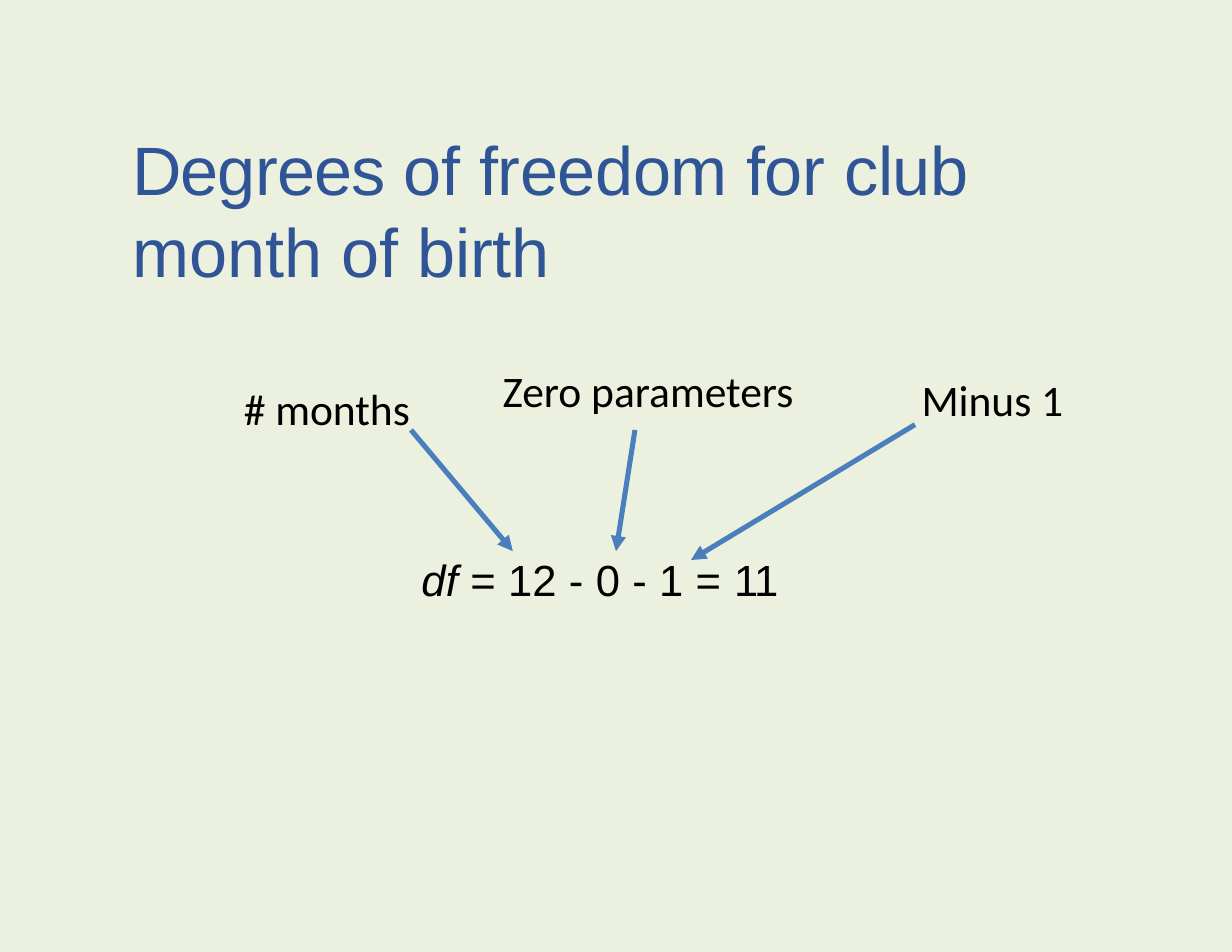
from pptx import Presentation
from pptx.dml.color import RGBColor
from pptx.enum.shapes import MSO_CONNECTOR as CONN
from pptx.enum.text import MSO_AUTO_SIZE as FIT
from pptx.oxml.ns import qn
from pptx.util import Cm, Pt
from lxml import etree


def rgb(value):
    return RGBColor.from_string(value)


class Deck:
    ink, blue, arrow_color, back = "000000", "2F5597", "4B7EBC", "EBF1DE"
    heading, body = "Arial", "Calibri"
    line_width = Pt(3.25)

    def __init__(self, prs):
        self.s = prs.slides.add_slide(prs.slide_layouts[6])
        fill = self.s.background.fill
        fill.solid()
        fill.fore_color.rgb = rgb(self.back)

    def text(self, box, runs, font, size, color, before=0, wrap=True, **insets):
        sp = self.s.shapes.add_textbox(*map(Cm, box))
        tf = sp.text_frame
        frame = dict(word_wrap=wrap, auto_size=FIT.SHAPE_TO_FIT_TEXT, **insets)
        for name, value in frame.items():
            setattr(tf, name, value)
        p = tf.paragraphs[0]
        p.space_before = Pt(before)
        for words, spacing, italic in runs:
            r = p.add_run()
            r.text = words
            style = {"name": font, "size": Pt(size), "italic": italic}
            for name, value in style.items():
                setattr(r.font, name, value)
            r.font.color.rgb = rgb(color)
            if spacing:
                r._r.get_or_add_rPr().set("spc", str(spacing))

    def block(self, box, runs, size, color, before, top):
        self.text(box, runs, self.heading, size, color, before,
                  margin_left=Cm(0.03), margin_right=0, margin_bottom=0,
                  margin_top=Cm(top))

    def label(self, box, words):
        self.text(box, [(words, 0, False)], self.body, 28, self.ink, wrap=False)

    def arrow(self, start, end):
        sp = self.s.shapes.add_connector(CONN.STRAIGHT, *map(Cm, start + end))
        sp.line.color.rgb = rgb(self.arrow_color)
        sp.line.width = self.line_width
        ln = sp.line._get_or_add_ln()
        etree.SubElement(ln, qn("a:tailEnd"), type="triangle")
        etree.SubElement(sp._element.spPr, qn("a:effectLst"))


def main():
    prs = Presentation()
    prs.slide_width, prs.slide_height = Cm(27.94), Cm(21.59)
    deck = Deck(prs)

    title = [("Degrees ", -60), ("of ", -20), ("freedom ", -30), ("for ", -20),
             ("club ", -30), ("month ", 0), ("of ", -20), ("birth", -10)]
    deck.block((2.97, 2.74, 20.96, 3.91), [(w, spc, False) for w, spc in title],
               44, deck.blue, 4.2, 0.15)

    formula = [("df ", 10, True), ("= 12 - 0 - 1 = ", 10, False), ("11", -70, False)]
    deck.block((9.53, 12.5, 11.23, 1.24), formula, 28, deck.ink, 1.2, 0.05)

    terms = [
        ("# months", (5.28, 8.53, 4.32, 1.45), (9.32, 9.75), (11.63, 12.5)),
        ("Zero parameters", (11.15, 8.13, 7.16, 1.45), (14.4, 9.75), (13.97, 12.5)),
        ("Minus 1", (20.65, 8.33, 3.78, 1.45), (20.75, 9.63), (15.67, 12.7)),
    ]
    for words, box, start, end in terms:
        deck.label(box, words)
        deck.arrow(start, end)

    prs.save("out.pptx")


if __name__ == "__main__":
    main()
